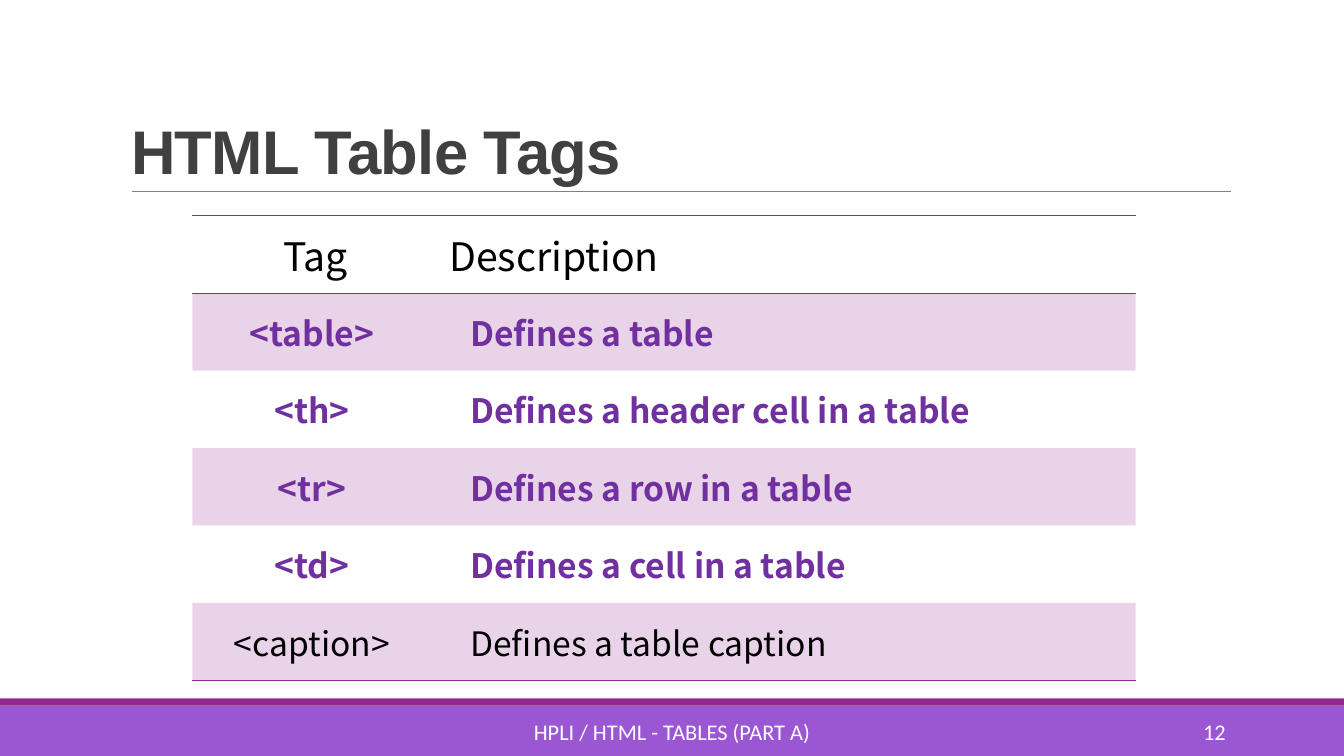
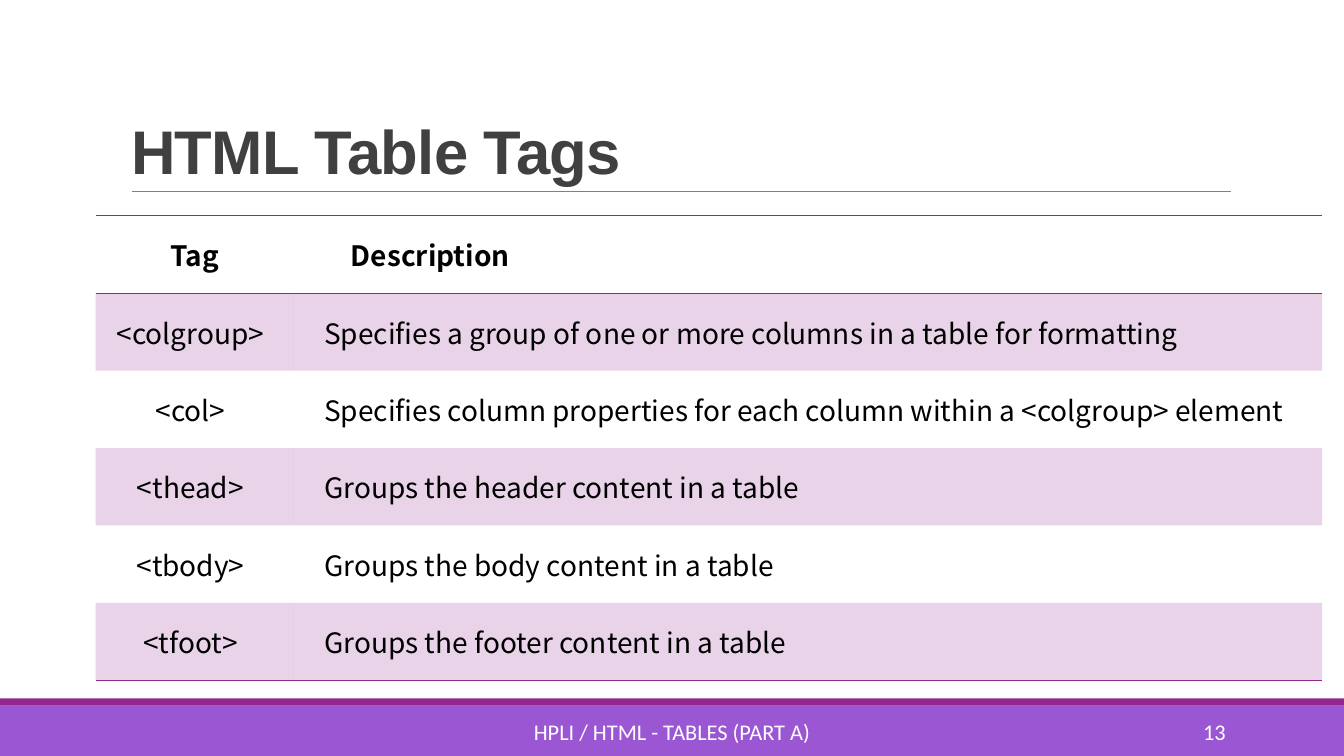
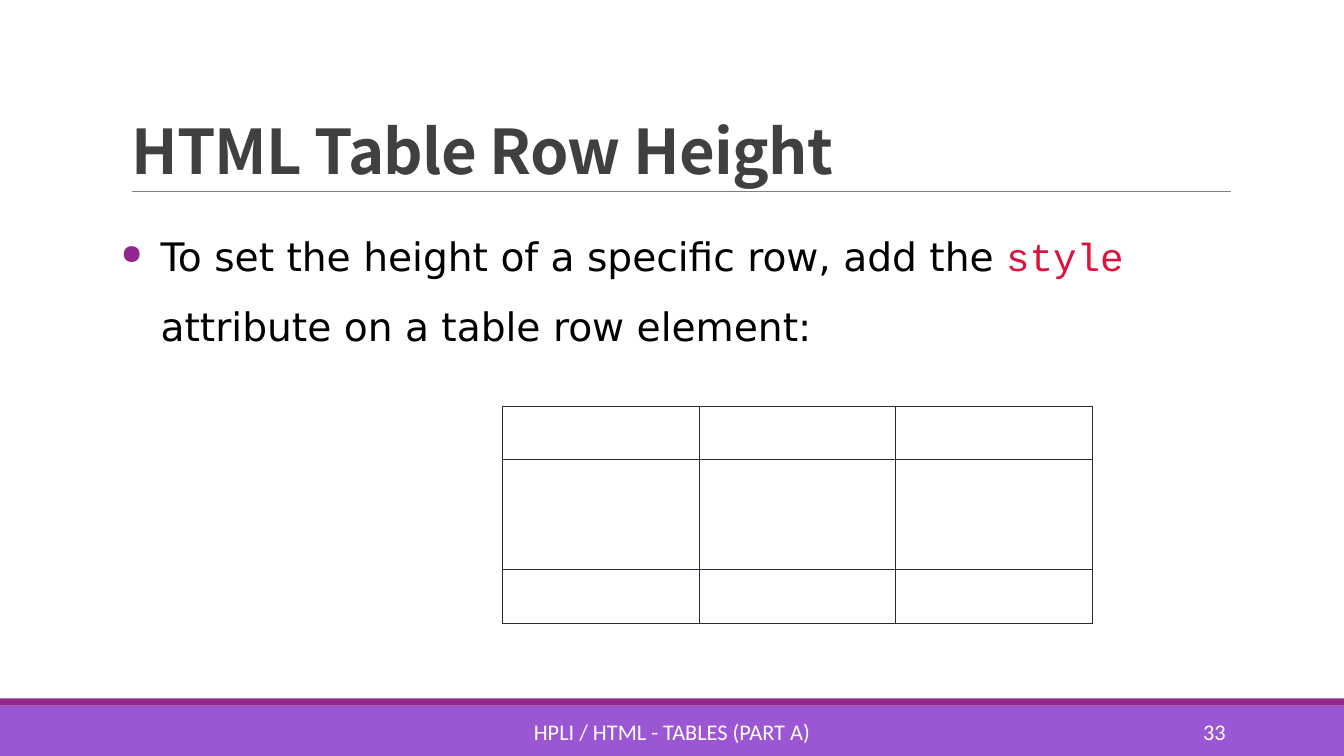
"""Build three slides on HTML table tags and row heights."""
from dataclasses import dataclass

from lxml import etree
from pptx import Presentation
from pptx.dml.color import RGBColor
from pptx.enum.shapes import MSO_CONNECTOR, MSO_SHAPE
from pptx.enum.text import MSO_ANCHOR, MSO_AUTO_SIZE, PP_ALIGN
from pptx.oxml.ns import qn
from pptx.util import Cm, Pt

LEFT, CENTER, RIGHT = PP_ALIGN.LEFT, PP_ALIGN.CENTER, PP_ALIGN.RIGHT
TOP, MIDDLE, BOTTOM = MSO_ANCHOR.TOP, MSO_ANCHOR.MIDDLE, MSO_ANCHOR.BOTTOM
RECTANGLE, STRAIGHT = MSO_SHAPE.RECTANGLE, MSO_CONNECTOR.STRAIGHT
NO_AUTOFIT = MSO_AUTO_SIZE.NONE

FOOTER = "HPLI / HTML - TABLES (PART A)"

TAG_SLIDES = [
    {
        "title": "HTML Table Tags", "number": "12",
        "left": 4.85, "columns": (6.22, 17.55),
        "header_size": 28, "header_bold": False, "header_indent": 0,
        "body_size": 24, "key_tags": 4,
        "rows": [
            ("Tag", "Description"),
            ("<table>", "Defines a table"),
            ("<th>", "Defines a header cell in a table"),
            ("<tr>", "Defines a row in a table"),
            ("<td>", "Defines a cell in a table"),
            ("<caption>", "Defines a table caption"),
        ],
    },
    {
        "title": "HTML Table Tags", "number": "13",
        "left": 2.41, "columns": (4.98, 25.93),
        "header_size": 20, "header_bold": True, "header_indent": 1.2,
        "body_size": 20, "key_tags": 0,
        "rows": [
            ("Tag", "Description"),
            ("<colgroup>", "Specifies a group of one or more columns in a table for formatting"),
            ("<col>", "Specifies column properties for each column within a <colgroup> element"),
            ("<thead>", "Groups the header content in a table"),
            ("<tbody>", "Groups the body content in a table"),
            ("<tfoot>", "Groups the footer content in a table"),
        ],
    },
]

HEIGHT_SLIDE = {
    "title": "HTML Table Row Height", "number": "33",
    "sentence": [
        ("To set the height of a specific row, add the ", False),
        ("style ", True),
        ("attribute on a table row element:", False),
    ],
    "columns": (4.95,) * 3, "row_heights": (1.35, 2.77, 1.35),
}


@dataclass(frozen=True)
class Theme:
    """Colours, fonts and type sizes of the deck."""
    band: str = "9B57D3"
    accent: str = "92278F"
    rule: str = "808080"
    title: str = "404040"
    text: str = "000000"
    key_tag: str = "7030A0"
    code: str = "DC143C"
    grid: str = "282A35"
    white: str = "FFFFFF"
    title_font: str = "Arial"
    title_alt_font: str = "Noto Sans CJK TC"
    table_font: str = "Noto Sans CJK SC"
    body_font: str = "DejaVu Sans"
    code_font: str = "Courier New"
    footer_font: str = "Calibri"
    title_size: int = 44
    body_size: int = 28
    footer_size: int = 16


THEME = Theme()
SLIDE_WIDTH, SLIDE_HEIGHT = 33.87, 19.05
BAND_TOP, STRIPE_HEIGHT = 17.78, 0.18
CONTENT_LEFT, CONTENT_WIDTH = 3.05, 27.94
TAG_TABLE_TOP, TAG_ROW_HEIGHT = 5.44, 1.95
DESCRIPTION_INDENT = 0.76


def child(parent, tag, **attributes):
    """Append a DrawingML element to parent."""
    return etree.SubElement(parent, qn("a:" + tag), attributes)


def add_run(paragraph, text, font, size, color, bold=False):
    """Add one formatted run."""
    run = paragraph.add_run()
    run.text = text
    run.font.name, run.font.size, run.font.bold = font, Pt(size), bold
    run.font.color.rgb = RGBColor.from_string(color)
    return run


def add_text_frame(slide, left, top, width, height, anchor):
    """Add a wrapping text box and return its frame."""
    frame = slide.shapes.add_textbox(Cm(left), Cm(top), Cm(width), Cm(height)).text_frame
    frame.word_wrap, frame.vertical_anchor = True, anchor
    return frame


def add_bands(slide):
    """Draw the bottom bands and the rule below the title."""
    for top, height, color in (
        (BAND_TOP, SLIDE_HEIGHT - BAND_TOP, THEME.band),
        (BAND_TOP - STRIPE_HEIGHT, STRIPE_HEIGHT, THEME.accent),
    ):
        band = slide.shapes.add_shape(RECTANGLE, 0, Cm(top), Cm(SLIDE_WIDTH), Cm(height))
        band.shadow.inherit = False
        band.fill.solid()
        band.fill.fore_color.rgb = RGBColor.from_string(color)
        band.line.fill.background()
    rule = slide.shapes.add_connector(STRAIGHT, Cm(3.33), Cm(4.83), Cm(31.01), Cm(4.83))
    rule.line.color.rgb = RGBColor.from_string(THEME.rule)
    rule.line.width = Pt(0.5)
    child(rule.element.spPr, "effectLst")


def add_slide(deck, content, title_font):
    """Add a slide with bands, title, footer and number."""
    slide = deck.slides.add_slide(deck.slide_layouts[5])
    add_bands(slide)
    title = slide.shapes.title
    title.left, title.top = Cm(CONTENT_LEFT), Cm(0.79)
    title.width, title.height = Cm(CONTENT_WIDTH), Cm(4.04)
    frame = title.text_frame
    frame.auto_size, frame.vertical_anchor = NO_AUTOFIT, BOTTOM
    heading = frame.paragraphs[0]
    heading.alignment, heading.line_spacing = LEFT, 0.85
    run = add_run(heading, content["title"], title_font, THEME.title_size, THEME.title, True)
    run.font._element.set("spc", "-50")
    for text, left, width, alignment in (
        (FOOTER, 10.24, 13.39, CENTER),
        (content["number"], 27.51, 3.63, RIGHT),
    ):
        footer = add_text_frame(slide, left, 17.93, width, 1.02, MIDDLE).paragraphs[0]
        footer.alignment = alignment
        add_run(footer, text, THEME.footer_font, THEME.footer_size, THEME.white)
    return slide


def add_plain_table(slide, left, top, columns, row_heights):
    """Add a table without style, bands or fills."""
    table = slide.shapes.add_table(
        len(row_heights), len(columns), Cm(left), Cm(top),
        Cm(sum(columns)), Cm(sum(row_heights))).table
    table.first_row = table.horz_banding = False
    style = table._tbl.tblPr.find(qn("a:tableStyleId"))
    style.text = "{2D5ABB26-0587-4C30-8999-92F81FD0307C}"
    for column, width in zip(table.columns, columns):
        column.width = Cm(width)
    for row, height in zip(table.rows, row_heights):
        row.height = Cm(height)
    for cell in table.iter_cells():
        cell.fill.background()
    return table


def set_borders(cell, sides, color, points):
    """Draw the given sides (of L, R, T, B, in that order) of a cell."""
    properties = cell._tc.get_or_add_tcPr()
    for position, side in enumerate(sides):
        line = etree.Element(qn("a:ln" + side), w=str(Pt(points)))
        child(child(line, "solidFill"), "srgbClr", val=color)
        properties.insert(position, line)


def tint(cell, color, percent):
    """Fill a cell with a partly transparent colour."""
    cell.fill.solid()
    cell.fill.fore_color.rgb = RGBColor.from_string(color)
    fill_color = cell._tc.tcPr.find(qn("a:solidFill")).find(qn("a:srgbClr"))
    child(fill_color, "alpha", val=str(percent * 1000))


def add_tag_slide(deck, content):
    """Add a slide that lists tags and their descriptions."""
    slide = add_slide(deck, content, THEME.title_font)
    rows = content["rows"]
    table = add_plain_table(slide, content["left"], TAG_TABLE_TOP,
                            content["columns"], [TAG_ROW_HEIGHT] * len(rows))
    for r, row in enumerate(rows):
        header, key = r == 0, 0 < r <= content["key_tags"]
        sides = "TB" if header else "B" if r == len(rows) - 1 else ""
        size = content["header_size"] if header else content["body_size"]
        bold = content["header_bold"] if header else key
        color = THEME.key_tag if key else THEME.text
        for c, text in enumerate(row):
            cell = table.cell(r, c)
            cell.vertical_anchor = MIDDLE
            set_borders(cell, sides, THEME.accent, 1)
            if r % 2:
                tint(cell, THEME.accent, 20)
            if not header:
                cell.margin_left = cell.margin_top = cell.margin_bottom = Cm(0.02)
                cell.margin_right = Cm(0.02 if c else 0.22)
            paragraph = cell.text_frame.paragraphs[0]
            paragraph.alignment = LEFT if c else CENTER
            if c:
                indent = content["header_indent"] if header else DESCRIPTION_INDENT
                paragraph._p.get_or_add_pPr().set("marL", str(Cm(indent)))
            add_run(paragraph, text, THEME.table_font, size, color, bold)


def add_height_slide(deck, content):
    """Add the slide about the height of a row."""
    slide = add_slide(deck, content, THEME.title_alt_font)
    frame = add_text_frame(slide, CONTENT_LEFT, 5.13, CONTENT_WIDTH, 11.18, TOP)
    frame.margin_left = frame.margin_right = 0
    sentence = frame.paragraphs[0]
    sentence.line_spacing, sentence.space_before = 1.5, Pt(6)
    properties = sentence._p.get_or_add_pPr()
    properties.set("marL", str(Cm(1)))
    properties.set("indent", str(-Cm(1)))
    child(child(properties, "buClr"), "srgbClr", val=THEME.accent)
    child(properties, "buSzPct", val="70000")
    child(properties, "buChar", char="●")
    for text, is_code in content["sentence"]:
        font, color = (THEME.code_font, THEME.code) if is_code else (THEME.body_font, THEME.text)
        add_run(sentence, text, font, THEME.body_size, color)
    table = add_plain_table(slide, 12.67, 10.24, content["columns"], content["row_heights"])
    for cell in table.iter_cells():
        set_borders(cell, "LRTB", THEME.grid, 0.75)


def main():
    """Build and save the deck."""
    deck = Presentation()
    deck.slide_width, deck.slide_height = Cm(SLIDE_WIDTH), Cm(SLIDE_HEIGHT)
    for content in TAG_SLIDES:
        add_tag_slide(deck, content)
    add_height_slide(deck, HEIGHT_SLIDE)
    deck.save("out.pptx")


if __name__ == "__main__":
    main()
